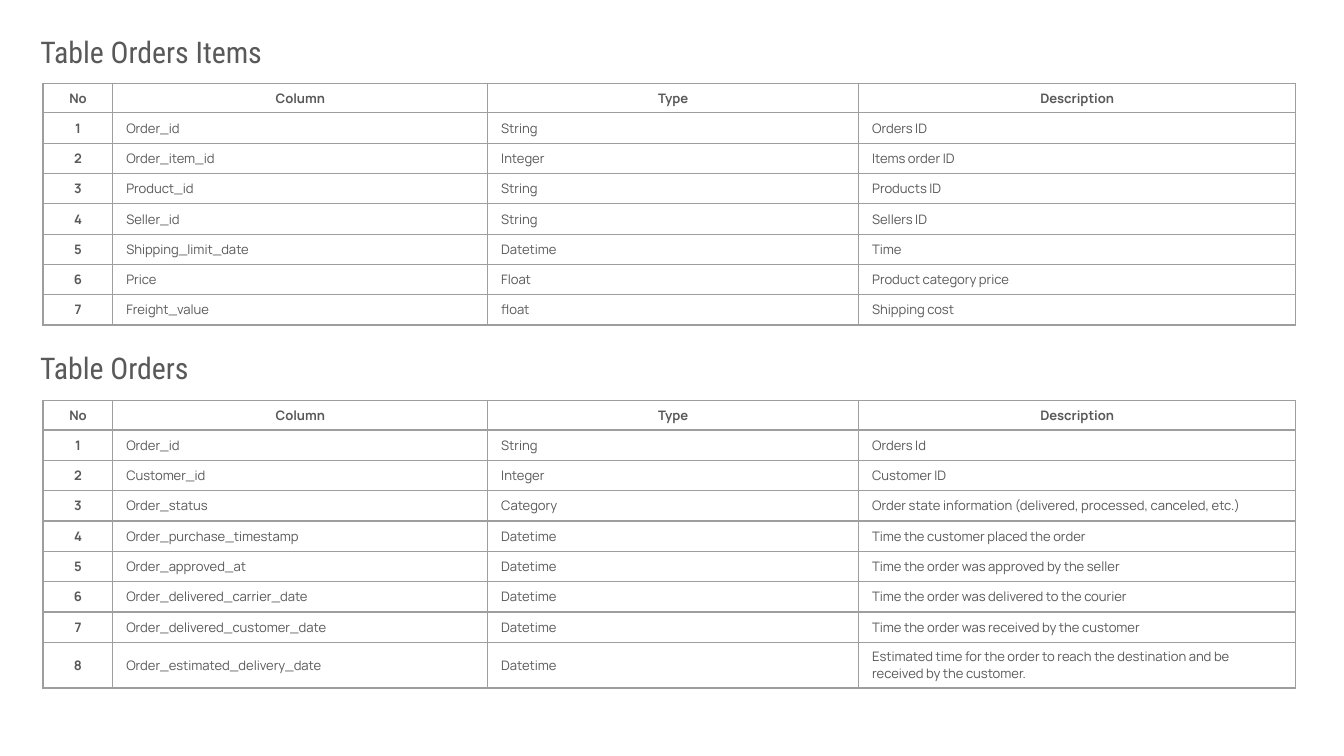
import pptx
import pptx.util
import pptx.dml.color
import pptx.enum.text
import pptx.oxml
from lxml import etree
from pptx.util import Inches, Pt

COLORS = {"text": "595959", "border": "9E9E9E"}
COLUMN_WIDTHS = [0.52, 2.79, 2.76, 3.25]
HEADER = ["No", "Column", "Type", "Description"]
HEADER_HEIGHT = 0.22
ROW_HEIGHT = 1.58 / 7
TWO_LINE_HEIGHT = 0.34

sections = [
    ("Table Orders Items", 0.2, 0.62, [
        ("Order_id", "String", "Orders ID"),
        ("Order_item_id", "Integer", "Items order ID"),
        ("Product_id", "String", "Products ID"),
        ("Seller_id", "String", "Sellers ID"),
        ("Shipping_limit_date", "Datetime", "Time"),
        ("Price", "Float", "Product category price"),
        ("Freight_value", "float", "Shipping cost"),
    ]),
    ("Table Orders", 2.55, 2.98, [
        ("Order_id", "String", "Orders Id"),
        ("Customer_id", "Integer", "Customer ID"),
        ("Order_status", "Category",
         "Order state information (delivered, processed, canceled, etc.)"),
        ("Order_purchase_timestamp", "Datetime", "Time the customer placed the order"),
        ("Order_approved_at", "Datetime", "Time the order was approved by the seller"),
        ("Order_delivered_carrier_date", "Datetime",
         "Time the order was delivered to the courier"),
        ("Order_delivered_customer_date", "Datetime",
         "Time the order was received by the customer"),
        ("Order_estimated_delivery_date", "Datetime",
         "Estimated time for the order to reach the destination and be "
         "received by the customer."),
    ]),
]


def format_text(paragraph, font_name, size, bold, alignment):
    paragraph.alignment = alignment
    for run in paragraph.runs:
        run.font.name = font_name
        run.font.size = Pt(size)
        run.font.bold = bold
        run.font.color.rgb = pptx.dml.color.RGBColor.from_string(COLORS["text"])


def add_borders(cell):
    properties = cell._tc.get_or_add_tcPr()
    for position, side in enumerate(["lnL", "lnR", "lnT", "lnB"]):
        line = etree.Element(pptx.oxml.ns.qn(f"a:{side}"), w=str(Pt(0.75)))
        fill = etree.SubElement(line, pptx.oxml.ns.qn("a:solidFill"))
        etree.SubElement(fill, pptx.oxml.ns.qn("a:srgbClr"), val=COLORS["border"])
        properties.insert(position, line)


presentation = pptx.Presentation()
presentation.slide_width = Inches(10)
presentation.slide_height = Inches(10 * 9 / 16)
slide = presentation.slides.add_slide(presentation.slide_layouts[5])
align = pptx.enum.text.PP_ALIGN
middle = pptx.enum.text.MSO_ANCHOR.MIDDLE

for section_index, (heading, heading_top, table_top, fields) in enumerate(sections):
    if section_index == 0:
        heading_box = slide.shapes.title
    else:
        heading_box = slide.shapes.add_textbox(0, 0, 0, 0)
    heading_box.left, heading_box.top = Inches(0.2), Inches(heading_top)
    heading_box.width, heading_box.height = Inches(2.36), Inches(0.37)
    frame = heading_box.text_frame
    frame.text = heading
    frame.word_wrap = True
    frame.auto_size = pptx.enum.text.MSO_AUTO_SIZE.NONE
    frame.vertical_anchor = middle
    format_text(frame.paragraphs[0], "Roboto Condensed", 16, False, align.LEFT)

    rows = [HEADER] + [(str(number), *field) for number, field in enumerate(fields, 1)]
    heights = [HEADER_HEIGHT] + [
        TWO_LINE_HEIGHT if len(description) > 70 else ROW_HEIGHT
        for _, _, description in fields
    ]
    table = slide.shapes.add_table(
        len(rows), len(HEADER), Inches(0.32), Inches(table_top),
        Inches(sum(COLUMN_WIDTHS)), Inches(sum(heights))).table
    table.horz_banding = False
    for column, width in zip(table.columns, COLUMN_WIDTHS):
        column.width = Inches(width)
    for row_index, (values, height) in enumerate(zip(rows, heights)):
        table.rows[row_index].height = Inches(height)
        for column_index, value in enumerate(values):
            cell = table.cell(row_index, column_index)
            cell.text = value
            cell.fill.background()
            cell.vertical_anchor = middle
            cell.margin_top = cell.margin_bottom = Inches(0.03)
            label = row_index == 0 or column_index == 0
            format_text(cell.text_frame.paragraphs[0], "Manrope", 7, label,
                        align.CENTER if label else align.LEFT)
            add_borders(cell)

presentation.save("out.pptx")
